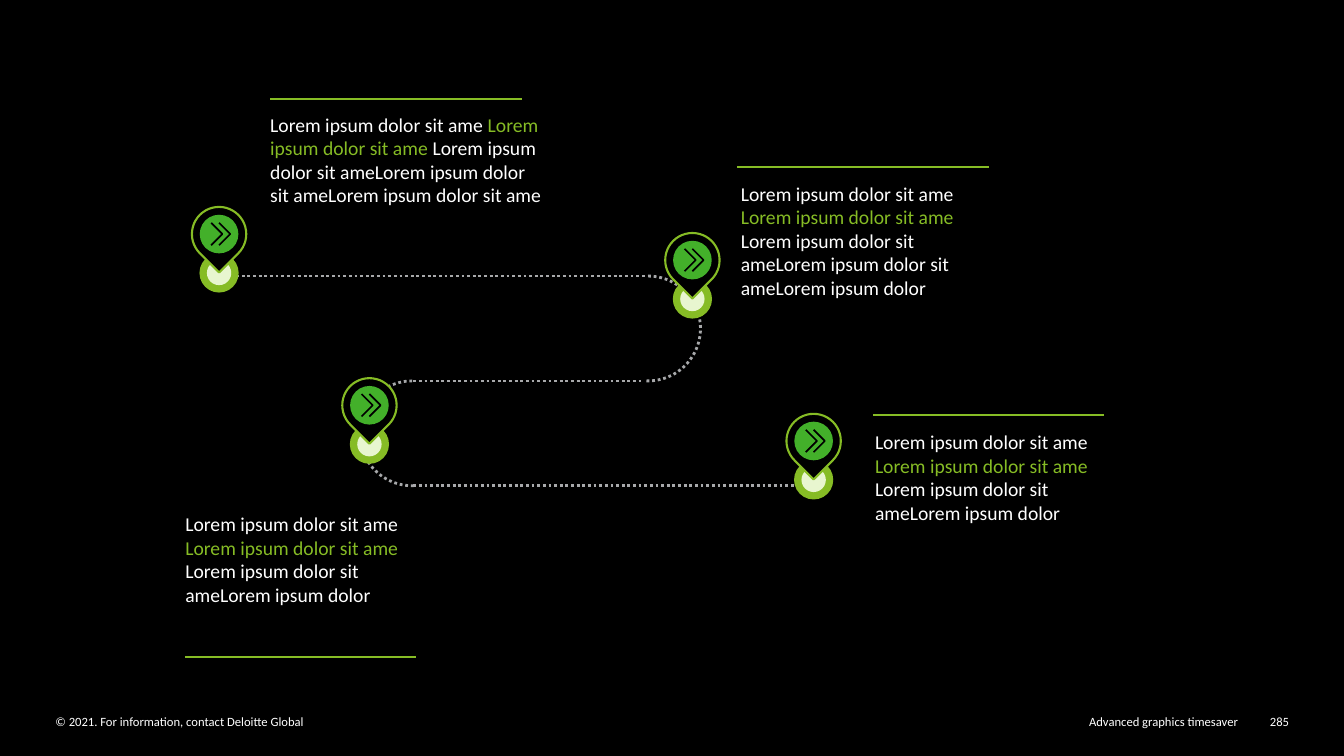
from lxml import etree
from pptx import Presentation
from pptx.dml.color import RGBColor
from pptx.enum import dml, shapes, text
from pptx.oxml import ns
from pptx.util import Pt

COLORS = {
    "black": "000000",
    "white": "FFFFFF",
    "lime": "86BC25",
    "pale": "E8F6CF",
    "green": "43B02A",
    "grey": "A7A8AA",
}
SHAPE = shapes.MSO_SHAPE
ALIGN = text.PP_ALIGN


class RoadmapSlide:
    font = "Calibri"

    def __init__(self, deck):
        self.page = deck.slides.add_slide(deck.slide_layouts[6])
        fill = self.page.background.fill
        fill.solid()
        fill.fore_color.rgb = self.color("black")

    def color(self, name):
        return RGBColor.from_string(COLORS[name])

    def outline(self, line, name, width, dotted=False):
        line.color.rgb = self.color(name)
        line.width = Pt(width)
        if dotted:
            line.dash_style = dml.MSO_LINE.ROUND_DOT

    def text(self, left, top, width, height, runs, size, align=ALIGN.LEFT, after=0, grow=False):
        box = self.page.shapes.add_textbox(Pt(left), Pt(top), Pt(width), Pt(height))
        frame = box.text_frame
        frame.margin_left = frame.margin_top = frame.margin_right = frame.margin_bottom = 0
        frame.word_wrap = True
        if grow:
            frame.auto_size = text.MSO_AUTO_SIZE.SHAPE_TO_FIT_TEXT
        para = frame.paragraphs[0]
        para.alignment = align
        para.space_after = Pt(after)
        para.font.name = self.font
        para.font.size = Pt(size)
        for words, name in runs:
            span = para.add_run()
            span.text = words
            span.font.color.rgb = self.color(name)

    def line(self, left, top, right, name, width, dotted=False):
        connector = self.page.shapes.add_connector(
            shapes.MSO_CONNECTOR.STRAIGHT, Pt(left), Pt(top), Pt(right), Pt(top))
        self.outline(connector.line, name, width, dotted)
        etree.SubElement(connector._element.spPr, ns.qn("a:effectLst"))

    def arc(self, left, top, size, start, end):
        arc = self.page.shapes.add_shape(SHAPE.ARC, Pt(left), Pt(top), Pt(size), Pt(size))
        arc.shadow.inherit = False
        arc.adjustments[0], arc.adjustments[1] = start, end
        arc.fill.background()
        self.outline(arc.line, "grey", 2, True)

    def centred(self, kind, x, y, size, fill, border=None):
        shape = self.page.shapes.add_shape(
            kind, Pt(x - size / 2), Pt(y - size / 2), Pt(size), Pt(size))
        shape.shadow.inherit = False
        shape.fill.solid()
        shape.fill.fore_color.rgb = self.color(fill)
        if border:
            self.outline(shape.line, border, 1.5)
        else:
            shape.line.fill.background()
        return shape

    def chevron(self, x, y):
        builder = self.page.shapes.build_freeform(Pt(x), Pt(y - 8), 1.0)
        builder.add_line_segments([(Pt(x + 8), Pt(y)), (Pt(x), Pt(y + 8))], close=False)
        shape = builder.convert_to_shape()
        shape.shadow.inherit = False
        shape.fill.background()
        self.outline(shape.line, "black", 1.2)

    def pin(self, x, y):
        self.centred(SHAPE.OVAL, x, y + 27.8, 28, "lime")
        self.centred(SHAPE.OVAL, x, y + 27.8, 17.4, "pale")
        self.centred(SHAPE.TEAR, x, y, 38.8, "black", "lime").rotation = 135
        self.centred(SHAPE.OVAL, x, y, 27.6, "green")
        for shift in (-5.6, 0):
            self.chevron(x + shift, y)


def main():
    deck = Presentation()
    deck.slide_width, deck.slide_height = Pt(960), Pt(540)
    slide = RoadmapSlide(deck)

    footers = [
        (39.6, 422, "© 2021. For information, contact Deloitte Global", ALIGN.LEFT),
        (499, 385.2, "Advanced graphics timesaver", ALIGN.RIGHT),
        (896.4, 24.4, "285", ALIGN.RIGHT),
    ]
    for left, width, words, align in footers:
        slide.text(left, 509.8, width, 10.8, [(words, "white")], 9, align, grow=True)

    phrase = "Lorem ipsum dolor sit ame"
    notes = [
        (193, 80.6, 195.8, 95.8, phrase * 3),
        (529.2, 129.6, 167.8, 100.8, phrase * 2 + "Lorem ipsum dolor"),
        (132.4, 365.8, 163.4, 95.8, phrase + "Lorem ipsum dolor"),
        (625, 307.4, 159, 108, phrase + "Lorem ipsum dolor"),
    ]
    for left, top, width, height, ending in notes:
        runs = [(phrase + " ", "white"), (phrase + " ", "lime"), (ending, "white")]
        slide.text(left, top, width, height, runs, 14, after=12)

    road_top, bend = 197.2, 74.9
    for row, (left, right) in enumerate([(152.6, 463), (295.2, 459.4), (295.2, 583.2)]):
        slide.line(left, road_top + row * bend, right, "grey", 2, True)
    slide.arc(425.5, road_top, bend, 162, 56.39)
    slide.arc(257, road_top + bend, bend, 53.01, 162)

    for x, y in [(156.5, 167.2), (494.6, 185.8), (263.9, 289.5), (581.2, 315)]:
        slide.pin(x, y)

    for left, top, width in [(193, 70.6, 180), (526.3, 119.2, 180),
                             (623.5, 296.5, 165), (132.4, 469.4, 165)]:
        slide.line(left, top, left + width, "lime", 1)

    deck.save("out.pptx")


if __name__ == "__main__":
    main()
